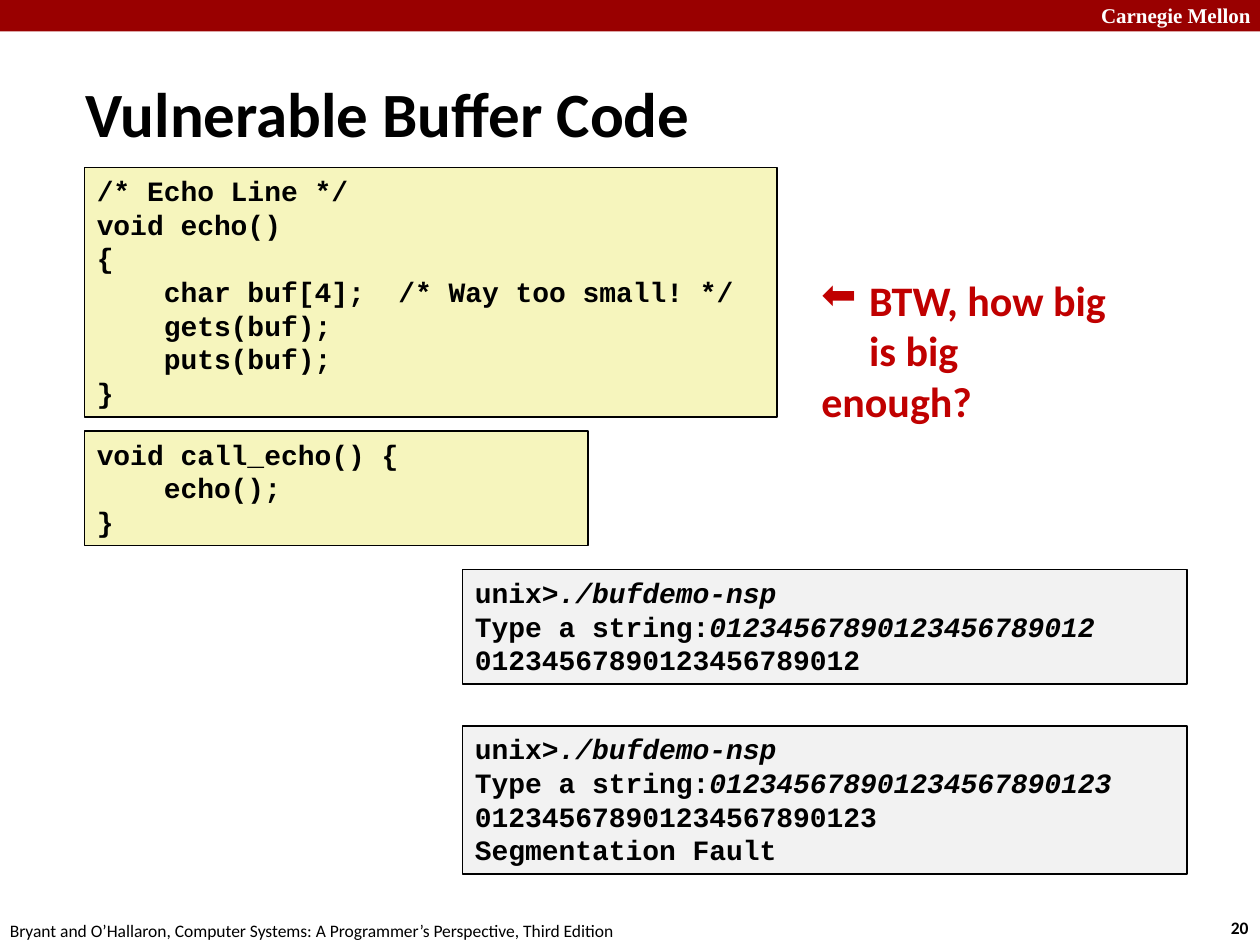
from pptx import Presentation
from pptx.dml.color import RGBColor
from pptx.enum import shapes, text
from pptx.oxml.ns import qn
from pptx.util import Inches, Pt
from lxml import etree

BLACK = RGBColor(0x00, 0x00, 0x00)
WHITE = RGBColor(0xFF, 0xFF, 0xFF)
BAND = RGBColor(0x99, 0x00, 0x00)
RED = RGBColor(0xC0, 0x00, 0x00)
CREAM = RGBColor(0xF6, 0xF5, 0xBD)
GRAY = RGBColor(0xF2, 0xF2, 0xF2)

prs = Presentation()
prs.slide_width, prs.slide_height = Inches(10), Inches(7.5)
slide = prs.slides.add_slide(prs.slide_layouts[6])


def add_rect(x, y, w, h, fill):
    rect = slide.shapes.add_shape(
        shapes.MSO_SHAPE.RECTANGLE, Inches(x), Inches(y), Inches(w), Inches(h))
    rect.shadow.inherit = False
    rect.fill.solid()
    rect.fill.fore_color.rgb = fill
    return rect


def add_text(x, y, w, h, lines, size, bold=True, color=BLACK, face="Calibri", wrap=True):
    box = slide.shapes.add_textbox(Inches(x), Inches(y), Inches(w), Inches(h))
    frame = box.text_frame
    frame.text = lines
    frame.word_wrap = wrap
    for par in frame.paragraphs:
        for run in par.runs:
            run.font.size, run.font.bold = Pt(size), bold
            run.font.name, run.font.color.rgb = face, color
    return frame


# Top band, footer and page number
add_rect(0, 0, 10, 0.25, BAND).line.fill.background()
add_text(8.64, -0.03, 1.43, 0.3, "Carnegie Mellon", 12,
         color=WHITE, face="Times New Roman")
add_text(9.67, 7.23, 0.37, 0.27, "20", 10, wrap=False)
add_text(-0.02, 7.25, 5.08, 0.27,
         "Bryant and O’Hallaron, Computer Systems: A Programmer’s Perspective, Third Edition",
         10, bold=False, wrap=False)

# Title
title = add_text(0.58, 0.58, 7.01, 0.63, "Vulnerable Buffer Code", 36)
title.vertical_anchor = text.MSO_ANCHOR.MIDDLE

# Code and terminal boxes; "|" marks where typed input starts
ECHO = """/* Echo Line */
void echo()
{
    char buf[4];  /* Way too small! */
    gets(buf);
    puts(buf);
}"""
CALL = """void call_echo() {
    echo();
}"""
GOOD = """unix>|./bufdemo-nsp
Type a string:|01234567890123456789012
01234567890123456789012"""
FAULT = """unix>|./bufdemo-nsp
Type a string:|012345678901234567890123
012345678901234567890123
Segmentation Fault"""

for x, y, w, h, fill, code in [
    (0.67, 3.42, 4, 0.91, CREAM, CALL),
    (0.67, 1.33, 5.5, 1.98, CREAM, ECHO),
    (3.67, 4.52, 5.75, 0.91, GRAY, GOOD),
    (3.67, 5.76, 5.75, 1.18, GRAY, FAULT),
]:
    box = add_rect(x, y, w, h, fill)
    box.line.color.rgb, box.line.width = BLACK, Pt(1)
    frame = box.text_frame
    frame.word_wrap = True
    frame.vertical_anchor = text.MSO_ANCHOR.TOP
    for i, line in enumerate(code.split("\n")):
        par = frame.add_paragraph() if i else frame.paragraphs[0]
        par.alignment = text.PP_ALIGN.LEFT
        for j, part in enumerate(line.split("|")):
            run = par.add_run()
            run.text = part
            run.font.name, run.font.size = "Courier New", Pt(16)
            run.font.bold, run.font.italic = True, j == 1
            run.font.color.rgb = BLACK

# Side remark: arrow bullet, then a line indented to match
note = add_text(6.42, 2.13, 2.5, 0.91, "BTW, how big\nis big enough?", 24, color=RED)
for par, left, first in zip(note.paragraphs, (0.38, 0), (-0.38, 0.38)):
    props = par._p.get_or_add_pPr()
    props.set("marL", str(Inches(left)))
    props.set("indent", str(Inches(first)))
bullet = etree.SubElement(note.paragraphs[0]._p.get_or_add_pPr(), qn("a:buChar"))
bullet.set("char", "⬅")

prs.save("out.pptx")
